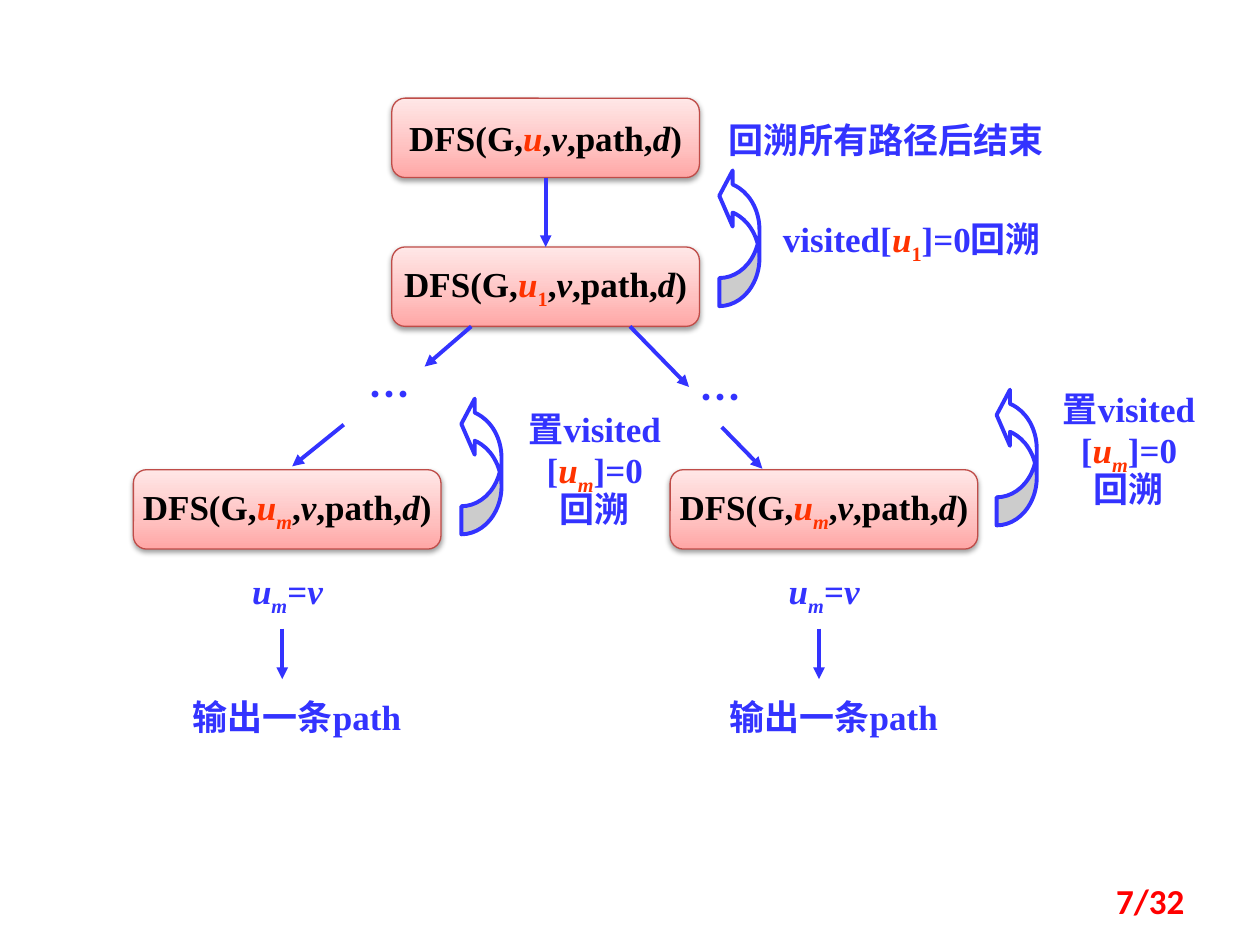
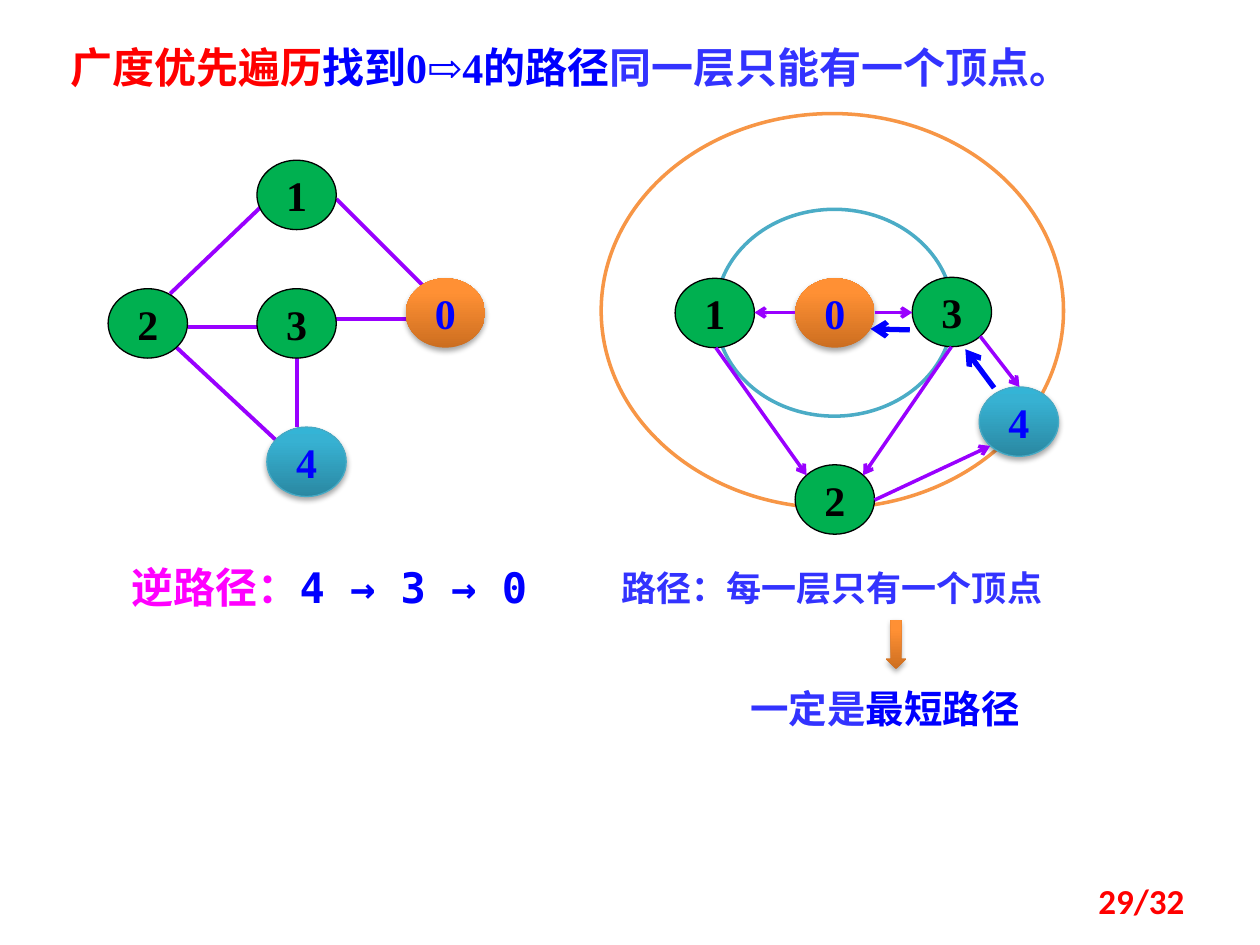
"""Build two slides on depth-first backtracking and breadth-first shortest paths."""
from copy import deepcopy
from dataclasses import dataclass

from lxml.etree import SubElement
from pptx import Presentation
from pptx.dml.color import RGBColor
from pptx.enum.shapes import MSO_CONNECTOR, MSO_SHAPE
from pptx.enum.text import MSO_ANCHOR, PP_ALIGN
from pptx.oxml.ns import qn
from pptx.util import Cm, Pt

SERIF, SANS, MONO, FOOTER_FONT = "Times New Roman", "Noto Sans CJK SC", "DejaVu Sans Mono", "Calibri"
BLACK, WHITE, RED, GREEN = "000000", "FFFFFF", "FF0000", "00B050"
INDIGO, BLUE, VERMILION, MAGENTA, PURPLE = "3333FF", "0000FF", "FF3300", "FF00FF", "9900FF"
ORANGE, TEAL = "F79646", "4BACC6"
TITLE_ONLY, BLANK = 5, 6


@dataclass(frozen=True)
class Span:
    text: str
    color: str = INDIGO
    italic: bool = False
    subscript: bool = False
    font: str | None = None


@dataclass(frozen=True)
class Gradient:
    stops: tuple[tuple[float, str], ...]
    shadow_alpha: int
    shadow_distance: int
    outline: str | None = None


@dataclass(frozen=True)
class Area:
    left: float
    top: float
    width: float
    height: float

    def lengths(self) -> tuple:
        return Cm(self.left), Cm(self.top), Cm(self.width), Cm(self.height)


@dataclass(frozen=True)
class Node:
    label: str
    left: float
    top: float
    fill: str | Gradient = GREEN


@dataclass(frozen=True)
class Branch:
    left: float
    return_arrow: tuple[float, float]
    note: tuple[float, float]
    dots: tuple[float, float]
    arrows: tuple[tuple[float, float, float, float], ...]


PINK_BOX = Gradient(((0, "FFA6A5"), (0.35, "FFC0BF"), (1, "FFE7E7")), 38000, 20000, "BF4C48")
ORANGE_GLOSS = Gradient(((0, "CC6E20"), (0.8, "FF9034"), (1, "FF9136")), 35000, 23000)
TEAL_GLOSS = Gradient(((0, "2A88A2"), (0.8, "37B1D2"), (1, "34B4D6")), 35000, 23000, "46AAC5")

BRANCHES = (
    Branch(2.69, (9.3, 7.98), (10.39, 8.59), (7.06, 7.42),
           ((9.5, 6.58, 8.56, 7.39), (6.93, 8.56, 5.89, 9.4))),
    Branch(13.51, (20.09, 7.8), (21.16, 8.18), (13.72, 7.49),
           ((12.7, 6.58, 13.89, 7.8), (14.55, 8.61, 15.37, 9.45))),
)
GRAPH_EDGES = (
    (6.78, 4.01, 8.59, 5.82), (3.35, 6.81, 5.69, 8.99), (5.26, 4.17, 3.43, 5.92),
    (3.78, 6.6, 5.38, 6.6), (5.99, 7.21, 5.99, 8.61), (6.78, 6.43, 8.38, 6.43),
)
GRAPH_NODES = (
    Node("1", 5.18, 3.23), Node("2", 2.18, 5.82), Node("3", 5.18, 5.82),
    Node("4", 5.38, 8.61, TEAL_GLOSS), Node("0", 8.18, 5.61, ORANGE_GLOSS),
)
LAYERS = ((Area(12.12, 2.29, 9.32, 7.95), ORANGE), (Area(14.43, 4.22, 4.78, 4.17), TEAL))
LAYER_NODES = (
    Node("0", 16.03, 5.61, ORANGE_GLOSS), Node("1", 13.61, 5.61), Node("3", 18.39, 5.59),
    Node("2", 16.03, 9.37), Node("4", 19.74, 7.8, TEAL_GLOSS),
)
SEARCH_ARROWS = (
    (17.63, 6.3, 18.39, 6.3), (16.03, 6.3, 15.21, 6.3), (14.43, 7.01, 16.26, 9.58),
    (19.18, 6.99, 17.4, 9.58), (19.76, 6.78, 20.55, 7.8), (17.63, 10.08, 19.96, 8.99),
)
REVERSE_ARROWS = ((20.04, 7.82, 19.46, 7.04), (18.34, 6.65, 17.55, 6.63))


def rgb(color: str) -> RGBColor:
    return RGBColor.from_string(color)


def write(shape, lines: list[list[Span]], size: float = 20, font: str = SERIF,
          align=PP_ALIGN.CENTER, tight: bool = False) -> None:
    frame = shape.text_frame
    for index, spans in enumerate(lines):
        para = frame.paragraphs[0] if index == 0 else frame.add_paragraph()
        para.alignment = align
        if tight:
            para.line_spacing = 0.5
            if index:
                para.space_before = Pt(10)
        para.font.name, para.font.size, para.font.bold = font, Pt(size), True
        properties = para._p.pPr.find(qn("a:defRPr"))
        SubElement(properties, qn("a:ea")).set("typeface", SANS)
        for span in spans:
            run = para.add_run()
            run.text = span.text
            run.font.color.rgb = rgb(span.color)
            if span.italic:
                run.font.italic = True
            if span.font:
                run.font.name = span.font
            if span.subscript:
                run._r.get_or_add_rPr().set("baseline", "-25000")


def add_text(page, area: Area, lines: list[list[Span]], inset: bool = False, **style):
    box = page.shapes.add_textbox(*area.lengths())
    frame = box.text_frame
    frame.word_wrap = True
    if not inset:
        frame.margin_left = frame.margin_top = frame.margin_right = frame.margin_bottom = 0
    write(box, lines, **style)
    return box


def paint_gradient(shape, gradient: Gradient) -> None:
    shape.fill.gradient()
    shape.fill.gradient_angle = 90
    stop_list = shape._element.spPr.find(qn("a:gradFill")).find(qn("a:gsLst"))
    stop_list.append(deepcopy(stop_list[0]))
    for stop, (position, color) in zip(shape.fill.gradient_stops, gradient.stops):
        stop.position = position
        stop.color.rgb = rgb(color)
    effects = shape._element.spPr.find(qn("a:effectLst"))
    shadow = SubElement(effects, qn("a:outerShdw"), blurRad="40000",
                        dist=str(gradient.shadow_distance), dir="5400000", rotWithShape="0")
    tint = SubElement(shadow, qn("a:srgbClr"), val=BLACK)
    SubElement(tint, qn("a:alpha"), val=str(gradient.shadow_alpha))


def add_figure(page, kind, area: Area, fill: str | Gradient,
               outline: str | None = None, weight: float = 0.75):
    shape = page.shapes.add_shape(kind, *area.lengths())
    shape.shadow.inherit = False
    if isinstance(fill, Gradient):
        paint_gradient(shape, fill)
        outline = fill.outline
    else:
        shape.fill.solid()
        shape.fill.fore_color.rgb = rgb(fill)
    if outline:
        shape.line.color.rgb = rgb(outline)
        shape.line.width = Pt(weight)
    else:
        shape.line.fill.background()
    return shape


def add_line(page, ends: tuple[float, float, float, float], color: str = INDIGO,
             weight: float = 2.25, head: str | None = "triangle"):
    line = page.shapes.add_connector(MSO_CONNECTOR.STRAIGHT, *(Cm(end) for end in ends))
    line.line.color.rgb = rgb(color)
    line.line.width = Pt(weight)
    if head:
        SubElement(line.line._get_or_add_ln(), qn("a:tailEnd"), type=head)
    SubElement(line._element.spPr, qn("a:effectLst"))
    return line


def add_label_shape(page, kind, area: Area, fill: str | Gradient, spans: list[Span],
                    size: float, outline: str | None = None):
    shape = add_figure(page, kind, area, fill, outline)
    shape.text_frame.word_wrap = False
    shape.text_frame.vertical_anchor = MSO_ANCHOR.MIDDLE
    write(shape, [spans], size=size)
    return shape


def add_call(page, left: float, top: float, index: str = ""):
    vertex = [Span("u", VERMILION, italic=True)]
    if index:
        vertex.append(Span(index, VERMILION, italic=index == "m", subscript=True))
    spans = [Span("DFS(G,", BLACK), *vertex, Span(",", BLACK), Span("v", BLACK, italic=True),
             Span(",path,", BLACK), Span("d", BLACK, italic=True), Span(")", BLACK)]
    return add_label_shape(page, MSO_SHAPE.ROUNDED_RECTANGLE, Area(left, top, 6.2, 1.6),
                           PINK_BOX, spans, 20)


def add_return_arrow(page, left: float, top: float) -> None:
    arrow = add_figure(page, MSO_SHAPE.CURVED_RIGHT_ARROW, Area(left, top, 0.81, 2.79),
                       WHITE, INDIGO, 2.25)
    for index, value in enumerate((0.698, 1.396, 0.333)):
        arrow.adjustments[index] = value
    arrow.rotation = 180


def add_node(page, node: Node) -> None:
    color = BLUE if isinstance(node.fill, Gradient) else BLACK
    add_label_shape(page, MSO_SHAPE.OVAL, Area(node.left, node.top, 1.6, 1.4), node.fill,
                    [Span(node.label, color)], 24, BLACK)


def add_page_number(page, number: int) -> None:
    box = add_text(page, Area(18.21, 17.65, 5.92, 1.02), [[Span(f"{number}/32", RED)]],
                   inset=True, font=FOOTER_FONT, align=PP_ALIGN.RIGHT)
    box.text_frame.vertical_anchor = MSO_ANCHOR.MIDDLE


def add_branch(page, branch: Branch) -> None:
    left = branch.left
    add_call(page, left, 9.47, "m")
    add_text(page, Area(*branch.dots, 1.6, 1.02), [[Span("…")]], size=24, font=SANS)
    for ends in branch.arrows:
        add_line(page, ends)
    add_return_arrow(page, *branch.return_arrow)
    reset = [[Span("置visited")],
             [Span("["), Span("u", VERMILION, italic=True),
              Span("m", VERMILION, italic=True, subscript=True), Span("]=0")],
             [Span("回溯")]]
    add_text(page, Area(*branch.note, 3.2, 2.13), reset, tight=True)
    reached = [Span("u", italic=True), Span("m", italic=True, subscript=True),
               Span("="), Span("v", italic=True)]
    add_text(page, Area(left + 2, 11.48, 2.21, 0.84), [reached])
    add_line(page, (left + 3, 12.67, left + 3, 13.69))
    add_text(page, Area(left + 0.4, 13.89, 5.79, 1.09), [[Span("输出一条path")]], inset=True)


def build_backtracking(deck) -> None:
    page = deck.slides.add_slide(deck.slide_layouts[BLANK])
    root = add_call(page, 7.9, 1.98)
    child = add_call(page, 7.9, 4.98, "1")
    descent = add_line(page, (11, 3.58, 11, 4.98))
    descent.begin_connect(root, 2)
    descent.end_connect(child, 0)
    add_text(page, Area(14.5, 2.39, 6.73, 0.86), [[Span("回溯所有路径后结束")]])
    add_return_arrow(page, 14.5, 3.38)
    add_text(page, Area(15.49, 4.39, 5.79, 0.86),
             [[Span("visited["), Span("u", VERMILION, italic=True),
               Span("1", VERMILION, subscript=True), Span("]=0回溯")]])
    for branch in BRANCHES:
        add_branch(page, branch)
    add_page_number(page, 7)


def build_shortest_path(deck) -> None:
    page = deck.slides.add_slide(deck.slide_layouts[TITLE_ONLY])
    title = page.shapes.title
    title.left, title.top, title.width, title.height = Area(0.99, 0.71, 21.03, 1.27).lengths()
    title.text_frame.vertical_anchor = MSO_ANCHOR.TOP
    title.text_frame.word_wrap = True
    write(title, [[Span("广度优先遍历", RED), Span("找到", BLUE), Span("0⇨4", BLUE, font=SERIF),
                   Span("的路径", BLUE), Span("同一层只能有一个顶点。", font=SERIF)]],
          size=24, font=SANS)
    for area, color in LAYERS:
        add_figure(page, MSO_SHAPE.OVAL, area, WHITE, color, 2)
    for ends in GRAPH_EDGES:
        add_line(page, ends, PURPLE, head=None)
    for node in GRAPH_NODES + LAYER_NODES:
        add_node(page, node)
    for ends in SEARCH_ARROWS:
        add_line(page, ends, PURPLE, 2, "arrow")
    for ends in REVERSE_ARROWS:
        add_line(page, ends, BLUE, 3, "arrow")
    add_text(page, Area(1.98, 11.2, 9.32, 1.27),
             [[Span("逆路径：", MAGENTA), Span("4 → 3 → 0", BLUE)]],
             inset=True, size=24, font=MONO)
    add_text(page, Area(11.51, 11.3, 10.52, 1.12), [[Span("路径：每一层只有一个顶点")]],
             inset=True, font=SANS)
    add_figure(page, MSO_SHAPE.DOWN_ARROW, Area(17.86, 12.5, 0.41, 0.99), ORANGE_GLOSS)
    add_text(page, Area(14.88, 13.69, 6.55, 1.19), [[Span("一定是"), Span("最短路径", BLUE)]],
             inset=True, size=22, align=PP_ALIGN.LEFT)
    add_page_number(page, 29)


def main() -> None:
    deck = Presentation()
    deck.slide_width, deck.slide_height = Cm(25.4), Cm(19.05)
    build_backtracking(deck)
    build_shortest_path(deck)
    deck.save("out.pptx")


if __name__ == "__main__":
    main()
